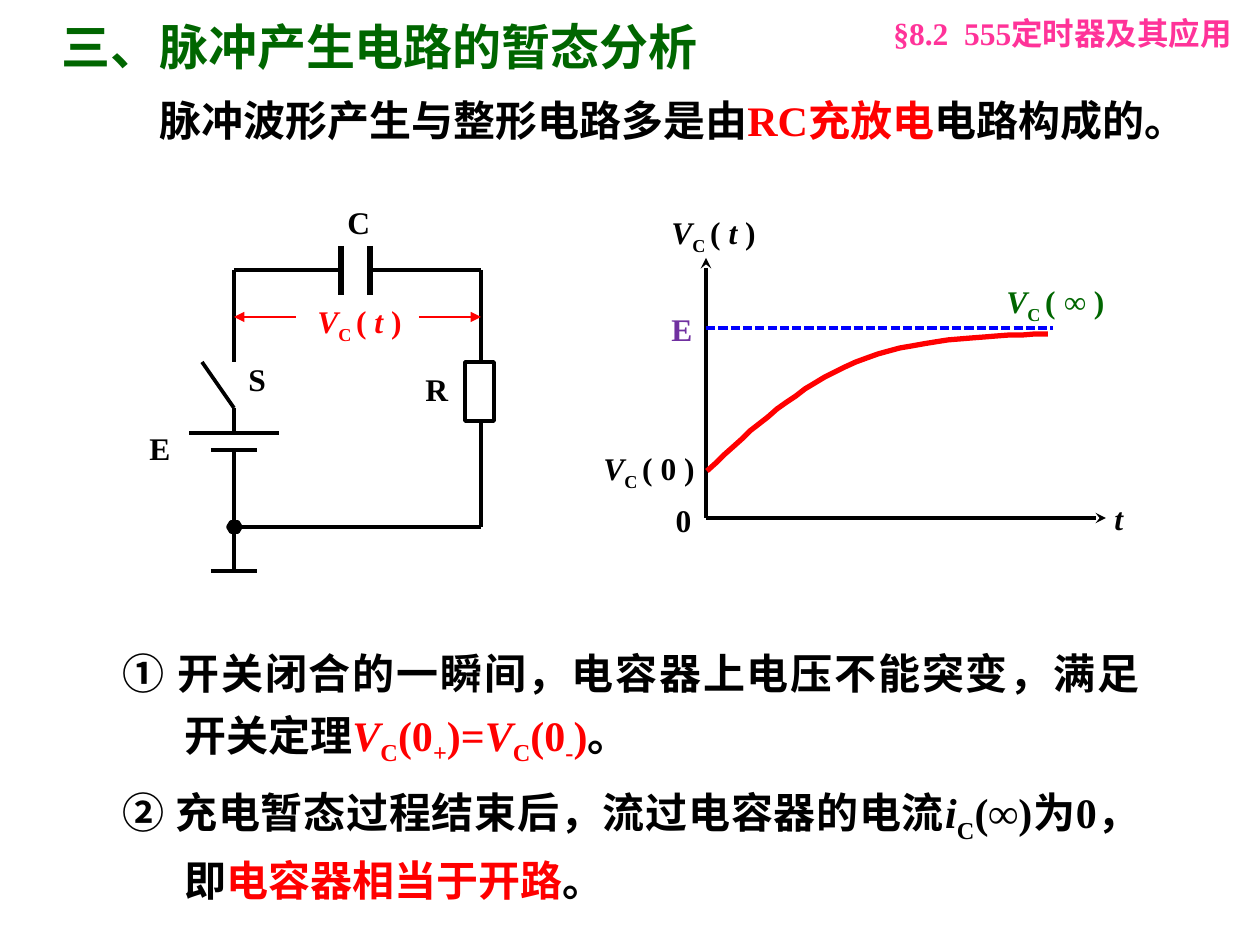
from dataclasses import dataclass

from lxml.etree import SubElement
from pptx import Presentation
from pptx.dml.color import RGBColor
from pptx.enum.dml import MSO_LINE_DASH_STYLE as Dash
from pptx.enum.shapes import MSO_CONNECTOR as Connector, MSO_SHAPE as Shape
from pptx.enum.text import MSO_AUTO_SIZE as AutoSize, PP_ALIGN as Align
from pptx.oxml.ns import qn
from pptx.util import Emu, Pt

PX = 914400 / 126


def px(length):
    return Emu(round(length * PX))


@dataclass(frozen=True)
class Theme:
    font: str = "Times New Roman"
    black: str = "000000"
    white: str = "FFFFFF"
    red: str = "FF0000"
    green: str = "006600"
    blue: str = "0000FF"
    purple: str = "7030A0"
    pink: str = "FF3399"
    title: int = 28
    body: int = 24
    label: int = 18
    wire: float = 2.13
    plate: float = 3
    axis: float = 2
    level: float = 1.75
    span: float = 1.5


class SlideBuilder:
    def __init__(self, page, theme):
        self.page = page
        self.theme = theme

    def text(self, left, top, width, height, paragraphs, size, color=None,
             wrap=True, inset=True, align=None, hanging=0, line=None, before=0):
        """Each paragraph is a list of (text, marks, color) spans.

        Marks: i for italic, _ for subscript; an omitted color is the box's.
        """
        box = self.page.shapes.add_textbox(px(left), px(top), px(width), px(height))
        frame = box.text_frame
        frame.word_wrap = wrap
        frame.auto_size = AutoSize.SHAPE_TO_FIT_TEXT
        if not inset:
            frame.margin_left = frame.margin_right = 0
            frame.margin_top = frame.margin_bottom = 0
        for index, spans in enumerate(paragraphs):
            para = frame.add_paragraph() if index else frame.paragraphs[0]
            para.alignment = align
            para.line_spacing = line
            para.space_before = Pt(before)
            if hanging:
                properties = para._p.get_or_add_pPr()
                properties.set("marL", str(px(hanging)))
                properties.set("indent", str(-px(hanging)))
            for words, marks, span_color in spans:
                run = para.add_run()
                run.text = words
                font = run.font
                font.name, font.size, font.bold = self.theme.font, Pt(size), True
                font.italic = "i" in marks
                font.color.rgb = RGBColor.from_string(
                    span_color or color or self.theme.black)
                if "_" in marks:
                    run._r.get_or_add_rPr().set("baseline", "-25000")

    def label(self, left, top, width, spans, color=None):
        self.text(left, top, width, 50, [spans], self.theme.label, color, wrap=False)

    def stroke(self, shape, color, weight):
        shape.line.color.rgb = RGBColor.from_string(color)
        shape.line.width = Pt(weight)

    def line(self, x1, y1, x2, y2, weight, color=None, head=None, dash=None):
        connector = self.page.shapes.add_connector(
            Connector.STRAIGHT, px(x1), px(y1), px(x2), px(y2))
        self.stroke(connector, color or self.theme.black, weight)
        if dash:
            connector.line.dash_style = dash
        if head:
            SubElement(connector.line._get_or_add_ln(), qn("a:tailEnd"), type=head)
        SubElement(connector._element.spPr, qn("a:effectLst"))

    def rectangle(self, left, top, width, height, weight):
        shape = self.page.shapes.add_shape(
            Shape.RECTANGLE, px(left), px(top), px(width), px(height))
        shape.shadow.inherit = False
        shape.fill.solid()
        shape.fill.fore_color.rgb = RGBColor.from_string(self.theme.white)
        self.stroke(shape, self.theme.black, weight)

    def outline(self, points, color, weight, filled):
        """Draws a closed filled polygon, or an open path when not filled."""
        builder = self.page.shapes.build_freeform(*points[0], scale=PX)
        builder.add_line_segments(points[1:], close=filled)
        shape = builder.convert_to_shape()
        shape.shadow.inherit = False
        if filled:
            shape.fill.solid()
            shape.fill.fore_color.rgb = RGBColor.from_string(color)
        else:
            shape.fill.background()
        self.stroke(shape, color, weight)


def plain(words, color=None):
    return (words, "", color)


def voltage(argument, marks=""):
    return [("V", "i", None), ("C ", "_", None), plain("( "),
            (argument + " ", marks, None), plain(")")]


def bezier(start, first, second, end, steps=16):
    weights = [((1 - t) ** 3, 3 * t * (1 - t) ** 2, 3 * t * t * (1 - t), t ** 3)
               for t in (step / steps for step in range(1, steps + 1))]
    corners = list(zip(start, first, second, end))
    return [tuple(sum(w * c for w, c in zip(weight, axis)) for axis in corners)
            for weight in weights]


def draw_text(slide):
    theme = slide.theme
    red = theme.red
    slide.text(49, 10, 674, 72, [[plain("三、脉冲产生电路的暂态分析")]],
               theme.title, theme.green)
    slide.text(147, 88, 1055, 64, [[
        plain("脉冲波形产生与整形电路多是由"), plain("RC充放电", red),
        plain("电路构成的。")]], theme.body)
    slide.text(881, 8, 393, 50, [[plain("§8.2  555定时器及其应用 ")]],
               theme.label, theme.pink, wrap=False, align=Align.JUSTIFY)
    switch_law = [
        plain("① 开关闭合的一瞬间，电容器上电压不能突变，满足开关定理"),
        ("V", "i", red), ("C", "_", red), plain("(0", red), ("+", "_", red),
        plain(")=", red), ("V", "i", red), ("C", "_", red), plain("(0", red),
        ("-", "_", red), plain(")", red), plain("。")]
    open_circuit = [
        plain("② 充电暂态过程结束后，流过电容器的电流"),
        ("i", "i", None), ("C", "_", None), plain("(∞)为0，即"),
        plain("电容器相当于开路", red), plain("。")]
    slide.text(110, 631, 1042, 267, [switch_law, open_circuit], theme.body,
               align=Align.JUSTIFY, hanging=62, line=1.2, before=5)


def draw_circuit(slide):
    theme = slide.theme
    left, right, top, bottom, ground = 234, 481, 270, 527, 571
    plates = (341, 370)
    resistor_top, resistor_height = 362, 59
    long_plate, short_plate = 433, 450
    wires = [
        (left, top, plates[0], top), (plates[1], top, right, top),
        (right, top, right, resistor_top),
        (right, resistor_top + resistor_height, right, bottom),
        (left, bottom, right, bottom), (left, top, left, resistor_top),
        (202, resistor_top, left, 408), (left, 408, left, long_plate),
        (left, short_plate, left, ground),
    ]
    bars = [(y, half) for y, half in
            ((long_plate, 45), (short_plate, 23), (ground, 23))]
    wires += [(left - half, y, left + half, y) for y, half in bars]
    for wire in wires:
        slide.line(*wire, theme.wire)
    for x in plates:
        slide.line(x, 246, x, 295, theme.plate)
    slide.rectangle(465, resistor_top, 29, resistor_height, theme.wire)
    node = [(left + dx, bottom + dy) for dx, dy in
            ((-6, 0), (-3, -5), (4, -5), (7, 0), (4, 5), (-3, 5))]
    slide.outline(node, theme.black, theme.wire, filled=True)
    for start, end in ((296, left), (419, right)):
        slide.line(start, 317, end, 317, theme.span, theme.red, head="triangle")
    for x, y, width, name in ((335, 197, 48, "C"), (413, 364, 48, "R"),
                              (236, 354, 43, "S"), (137, 423, 47, "E")):
        slide.label(x, y, width, [plain(name)])
    slide.label(305, 296, 113, voltage("t", "i"), theme.red)


def draw_chart(slide):
    theme = slide.theme
    x0, y0 = 706, 518
    slide.line(x0, y0, 1106, y0, theme.axis, head="stealth")
    slide.line(x0, y0, x0, 258, theme.axis, head="stealth")
    slide.line(x0, 328, 1053, 328, theme.level, theme.blue, dash=Dash.SQUARE_DOT)
    start, middle, end = (707, 471), (856, 362), (1048, 334)
    charge = [start, *bezier(start, (753, 428), (799, 386), middle),
              *bezier(middle, (912, 339), (980, 336), end)]
    slide.outline(charge, theme.red, theme.plate, filled=False)
    slide.text(669, 501, 29, 38, [[plain("0")]], theme.label,
               inset=False, align=Align.CENTER)
    slide.label(659, 207, 113, voltage("t", "i"))
    slide.label(1102, 493, 34, [("t", "i", None)])
    slide.label(659, 304, 47, [plain("E")], theme.purple)
    slide.label(994, 276, 127, voltage("∞", "i"), theme.green)
    slide.label(591, 443, 120, voltage("0"))


def main():
    deck = Presentation()
    deck.slide_width, deck.slide_height = px(1260), px(945)
    slide = SlideBuilder(deck.slides.add_slide(deck.slide_layouts[6]), Theme())
    draw_circuit(slide)
    draw_chart(slide)
    draw_text(slide)
    deck.save("out.pptx")


if __name__ == "__main__":
    main()
